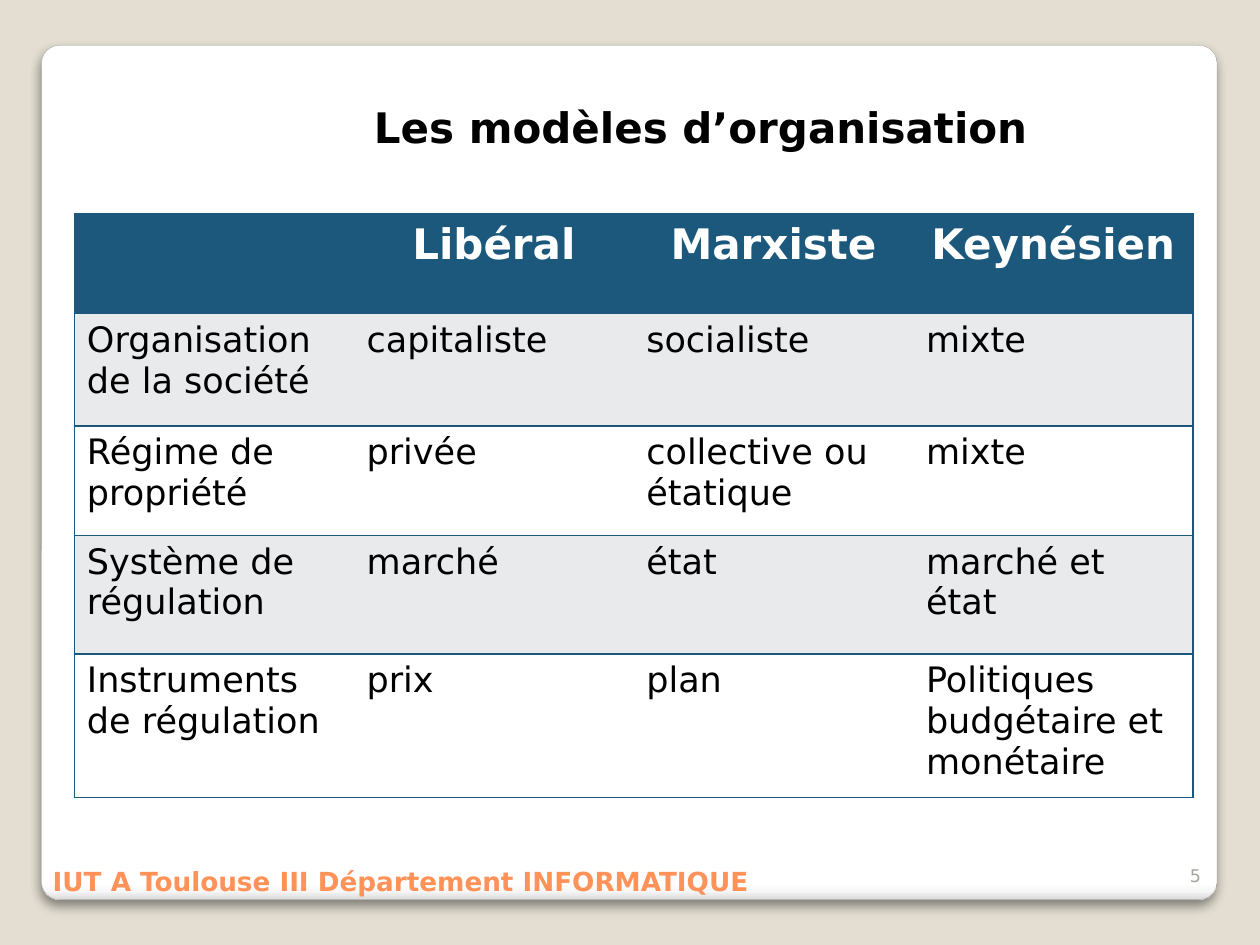
from dataclasses import dataclass
from lxml import etree
from pptx import Presentation
from pptx.dml.color import RGBColor
from pptx.enum.shapes import MSO_SHAPE
from pptx.enum.text import MSO_ANCHOR, PP_ALIGN
from pptx.oxml import parse_xml
from pptx.util import Inches, Pt

ROUNDED = MSO_SHAPE.ROUNDED_RECTANGLE
TOP, BOTTOM = MSO_ANCHOR.TOP, MSO_ANCHOR.BOTTOM
LEFT, CENTER, RIGHT = PP_ALIGN.LEFT, PP_ALIGN.CENTER, PP_ALIGN.RIGHT
NS = "http://schemas.openxmlformats.org/drawingml/2006/main"


@dataclass(frozen=True)
class Theme:
    font: str = "DejaVu Sans"
    backdrop: str = "E3DED1"
    edge: str = "A4A4A4"
    accent: str = "1B587C"
    band: str = "E8EAEC"
    white: str = "FFFFFF"
    ink: str = "000000"
    footer: str = "FF9258"
    muted: str = "A8A49B"
    heading_size: int = 24
    body_size: int = 20
    footer_size: int = 15
    number_size: int = 10


theme = Theme()


def style(paragraph, size, color, bold=False, align=LEFT):
    paragraph.alignment = align
    font = paragraph.font
    font.name, font.size, font.bold = theme.font, Pt(size), bold
    font.color.rgb = RGBColor.from_string(color)


def add_border(cell, side, color):
    line = etree.SubElement(cell._tc.get_or_add_tcPr(), f"{{{NS}}}ln{side}", w=str(Pt(1)))
    if color:
        solid = etree.SubElement(line, f"{{{NS}}}solidFill")
        etree.SubElement(solid, f"{{{NS}}}srgbClr", val=color)
    else:
        etree.SubElement(line, f"{{{NS}}}noFill")


deck = Presentation()
deck.slide_width, deck.slide_height = Inches(10), Inches(7.5)
slide = deck.slides.add_slide(deck.slide_layouts[6])
slide.background.fill.solid()
slide.background.fill.fore_color.rgb = RGBColor.from_string(theme.backdrop)

card = slide.shapes.add_shape(ROUNDED, Inches(0.33), Inches(0.36), Inches(9.33), Inches(6.78))
card.adjustments[0] = 0.021
card.line.color.rgb = RGBColor.from_string(theme.edge)
card.line.width = Pt(0.16)
card.fill.gradient()
card.fill.gradient_angle = 270
stops = card._element.spPr.find(f".//{{{NS}}}gsLst")
for stop in list(stops):
    stops.remove(stop)
for percent, color in ((0, "FFFFFF"), (98, "FFFFFF"), (99, "F7F7F7"), (100, "DADADA")):
    stop = etree.SubElement(stops, f"{{{NS}}}gs", pos=str(percent * 1000))
    etree.SubElement(stop, f"{{{NS}}}srgbClr", val=color)
card._element.spPr.append(parse_xml(
    f'<a:effectLst xmlns:a="{NS}"><a:outerShdw blurRad="{Pt(6)}" dist="{Pt(4)}" dir="5400000" '
    f'algn="t" rotWithShape="0"><a:srgbClr val="{theme.ink}"><a:alpha val="44000"/></a:srgbClr>'
    '</a:outerShdw></a:effectLst>'))

captions = (
    ("IUT A Toulouse III Département INFORMATIQUE", (0.32, 6.82, 7.28, 0.4),
     theme.footer_size, theme.footer, True, LEFT, TOP),
    ("Les modèles d’organisation", (2.87, 0.76, 5.83, 0.5),
     theme.heading_size, theme.ink, True, LEFT, TOP),
    ("5", (9.13, 6.68, 0.5, 0.4), theme.number_size, theme.muted, False, RIGHT, BOTTOM),
)
for text, place, size, color, bold, align, anchor in captions:
    frame = slide.shapes.add_textbox(*map(Inches, place)).text_frame
    frame.word_wrap = True
    frame.vertical_anchor = anchor
    frame.text = text
    style(frame.paragraphs[0], size, color, bold, align)

models = (
    ("", "Libéral", "Marxiste", "Keynésien"),
    ("Organisation de la société", "capitaliste", "socialiste", "mixte"),
    ("Régime de propriété", "privée", "collective ou étatique", "mixte"),
    ("Système de régulation", "marché", "état", "marché et état"),
    ("Instruments de régulation", "prix", "plan", "Politiques budgétaire et monétaire"),
)
row_heights = (0.79, 0.89, 0.87, 0.94, 1.14)
last_column = len(models[0]) - 1
comparison = slide.shapes.add_table(
    len(models), len(models[0]), Inches(0.59), Inches(1.7),
    Inches(8.88), Inches(sum(row_heights))).table
comparison.horz_banding = False
for row, (height, entries) in enumerate(zip(row_heights, models)):
    comparison.rows[row].height = Inches(height)
    header = row == 0
    fill = theme.accent if header else theme.band if row % 2 else theme.white
    for column, text in enumerate(entries):
        cell = comparison.cell(row, column)
        cell.text = text
        if header:
            style(cell.text_frame.paragraphs[0], theme.heading_size, theme.white, True, CENTER)
        else:
            style(cell.text_frame.paragraphs[0], theme.body_size, theme.ink)
        add_border(cell, "L", theme.accent if column == 0 else None)
        add_border(cell, "R", theme.accent if column == last_column else None)
        add_border(cell, "T", theme.accent)
        add_border(cell, "B", theme.accent)
        cell.fill.solid()
        cell.fill.fore_color.rgb = RGBColor.from_string(fill)

deck.save("out.pptx")
